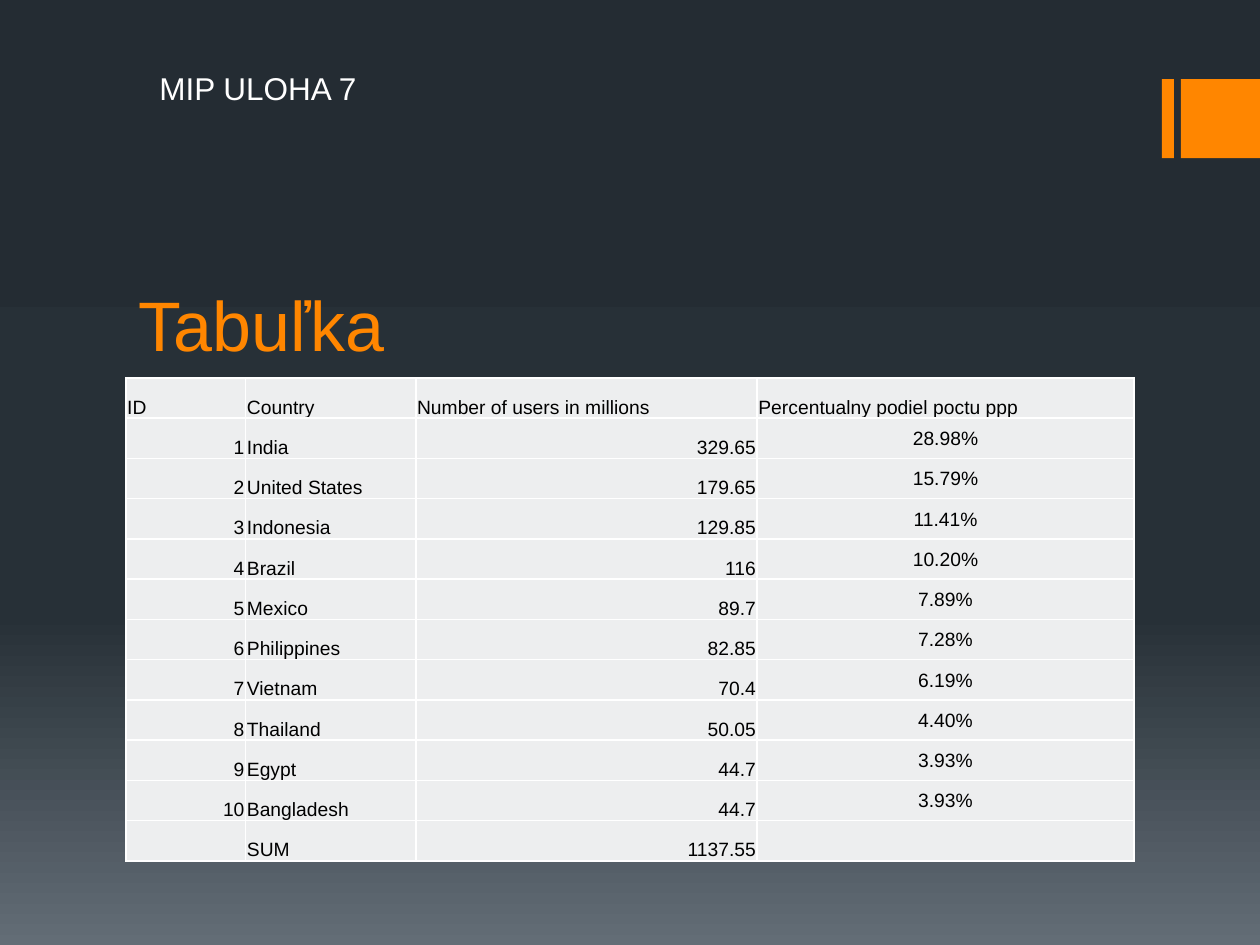
from lxml.etree import SubElement
from pptx import Presentation
from pptx.dml.color import RGBColor
from pptx.enum.shapes import MSO_SHAPE
from pptx.enum.text import MSO_ANCHOR, MSO_AUTO_SIZE, PP_ALIGN
from pptx.oxml import parse_xml
from pptx.oxml.ns import nsdecls, qn
from pptx.util import Pt

COLORS = {
    "top": "242C33", "middle": "273037", "bottom": "636D76",
    "accent": "FF8600", "white": "FFFFFF", "black": "000000", "cell": "EDEEEF",
}


class Deck:
    """Hold the style and the current slide and add its elements."""

    font = "Arial"

    def __init__(self, s):
        self.s = s

    def color(self, name):
        return RGBColor.from_string(COLORS[name])

    def place(self, sp, box):
        sp.left, sp.top, sp.width, sp.height = (Pt(v) for v in box)

    def background(self, stops):
        fill = self.s.background.fill
        fill.gradient()
        fill.gradient_angle = 270
        gs_lst = next(self.s.element.iter(qn("a:gsLst")))
        for gs in list(gs_lst):
            gs_lst.remove(gs)
        for pos, name in stops:
            gs = SubElement(gs_lst, qn("a:gs"), pos=str(pos * 1000))
            SubElement(gs, qn("a:srgbClr"), val=COLORS[name])

    def run(self, tf, text, size, color, align=PP_ALIGN.LEFT):
        p = tf.paragraphs[0]
        p.alignment = align
        r = p.add_run()
        r.text = text
        r.font.name = self.font
        r.font.size = Pt(size)
        r.font.color.rgb = self.color(color)

    def bar(self, box):
        sp = self.s.shapes.add_shape(MSO_SHAPE.RECTANGLE, *(Pt(v) for v in box))
        sp.shadow.inherit = False
        sp.fill.solid()
        sp.fill.fore_color.rgb = self.color("accent")
        sp.line.fill.background()

    def label(self, text, box, size, color):
        tf = self.s.shapes.add_textbox(*(Pt(v) for v in box)).text_frame
        tf.word_wrap = True
        tf.auto_size = MSO_AUTO_SIZE.SHAPE_TO_FIT_TEXT
        self.run(tf, text, size, color)

    def title(self, text, box, size, color):
        sp = self.s.shapes.title
        self.place(sp, box)
        tf = sp.text_frame
        tf.auto_size = MSO_AUTO_SIZE.NONE
        tf.vertical_anchor = MSO_ANCHOR.BOTTOM
        self.run(tf, text, size, color)

    def borders(self, cell):
        tc_pr = cell._tc.get_or_add_tcPr()
        for i, side in enumerate(("lnL", "lnR", "lnT", "lnB")):
            tc_pr.insert(i, parse_xml(
                f'<a:{side} {nsdecls("a")} w="{Pt(1)}"><a:solidFill>'
                f'<a:srgbClr val="{COLORS["white"]}"/></a:solidFill></a:{side}>'))

    def cell(self, cell, text, align, anchor):
        cell.margin_left = cell.margin_right = cell.margin_top = Pt(0.72)
        cell.margin_bottom = Pt(0)
        cell.vertical_anchor = anchor
        cell.fill.solid()
        cell.fill.fore_color.rgb = self.color("cell")
        self.borders(cell)
        if text:
            self.run(cell.text_frame, text, 11, "black", align)

    def table(self, rows, left, top, widths, row_height):
        box = (left, top, sum(widths), row_height * len(rows))
        tbl = self.s.shapes.add_table(
            len(rows), len(widths), *(Pt(v) for v in box)).table
        tbl.first_row = tbl.horz_banding = False
        for col, width in zip(tbl.columns, widths):
            col.width = Pt(width)
        aligns = (PP_ALIGN.RIGHT, PP_ALIGN.LEFT, PP_ALIGN.RIGHT, PP_ALIGN.CENTER)
        for i, values in enumerate(rows):
            tbl.rows[i].height = Pt(row_height)
            for j, text in enumerate(values):
                align = aligns[j] if i else PP_ALIGN.LEFT
                anchor = MSO_ANCHOR.MIDDLE if i and j == 3 else MSO_ANCHOR.BOTTOM
                self.cell(tbl.cell(i, j), text, align, anchor)


USERS = [
    ("India", "329.65", "28.98%"),
    ("United States", "179.65", "15.79%"),
    ("Indonesia", "129.85", "11.41%"),
    ("Brazil", "116", "10.20%"),
    ("Mexico", "89.7", "7.89%"),
    ("Philippines", "82.85", "7.28%"),
    ("Vietnam", "70.4", "6.19%"),
    ("Thailand", "50.05", "4.40%"),
    ("Egypt", "44.7", "3.93%"),
    ("Bangladesh", "44.7", "3.93%"),
]
HEADER = ("ID", "Country", "Number of users in millions",
          "Percentualny podiel poctu ppp")
ROWS = [HEADER, *((str(n), *user) for n, user in enumerate(USERS, 1)),
        ("", "SUM", "1137.55", "")]

prs = Presentation()
prs.slide_width, prs.slide_height = Pt(720), Pt(540)
deck = Deck(prs.slides.add_slide(prs.slide_layouts[5]))
deck.background([(0, "top"), (65, "middle"), (100, "bottom")])
for left, width in ((664, 6.8), (674.8, 45.2)):
    deck.bar((left, 45.2, width, 45.2))
deck.label("MIP ULOHA 7", (84, 36, 264, 29), 18, "white")
deck.title("Tabuľka", (72, 121.5, 576, 91), 40, "accent")
deck.table(ROWS, 72, 216, (68.4, 97.2, 195.1, 215.3), 23)
prs.save("out.pptx")
